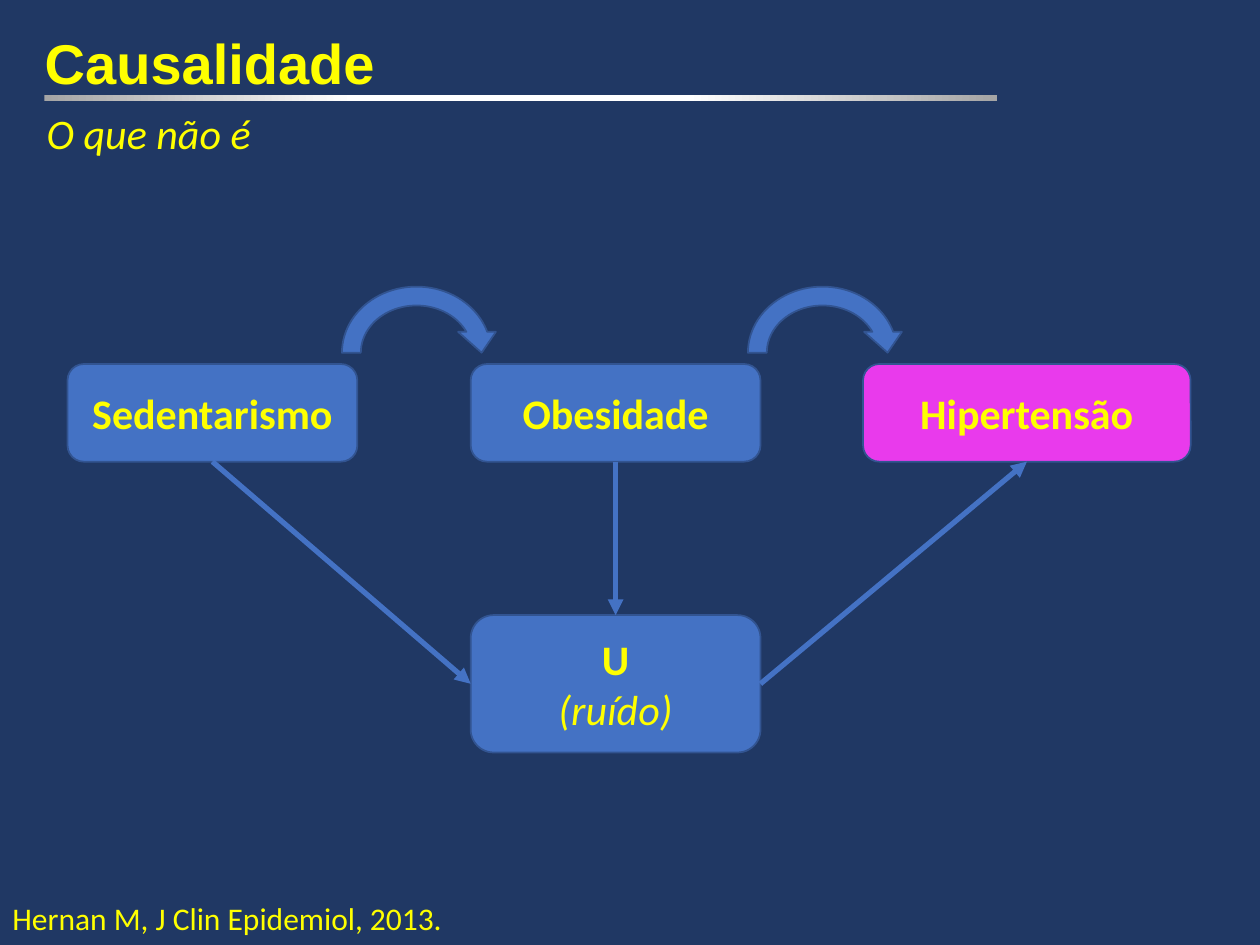
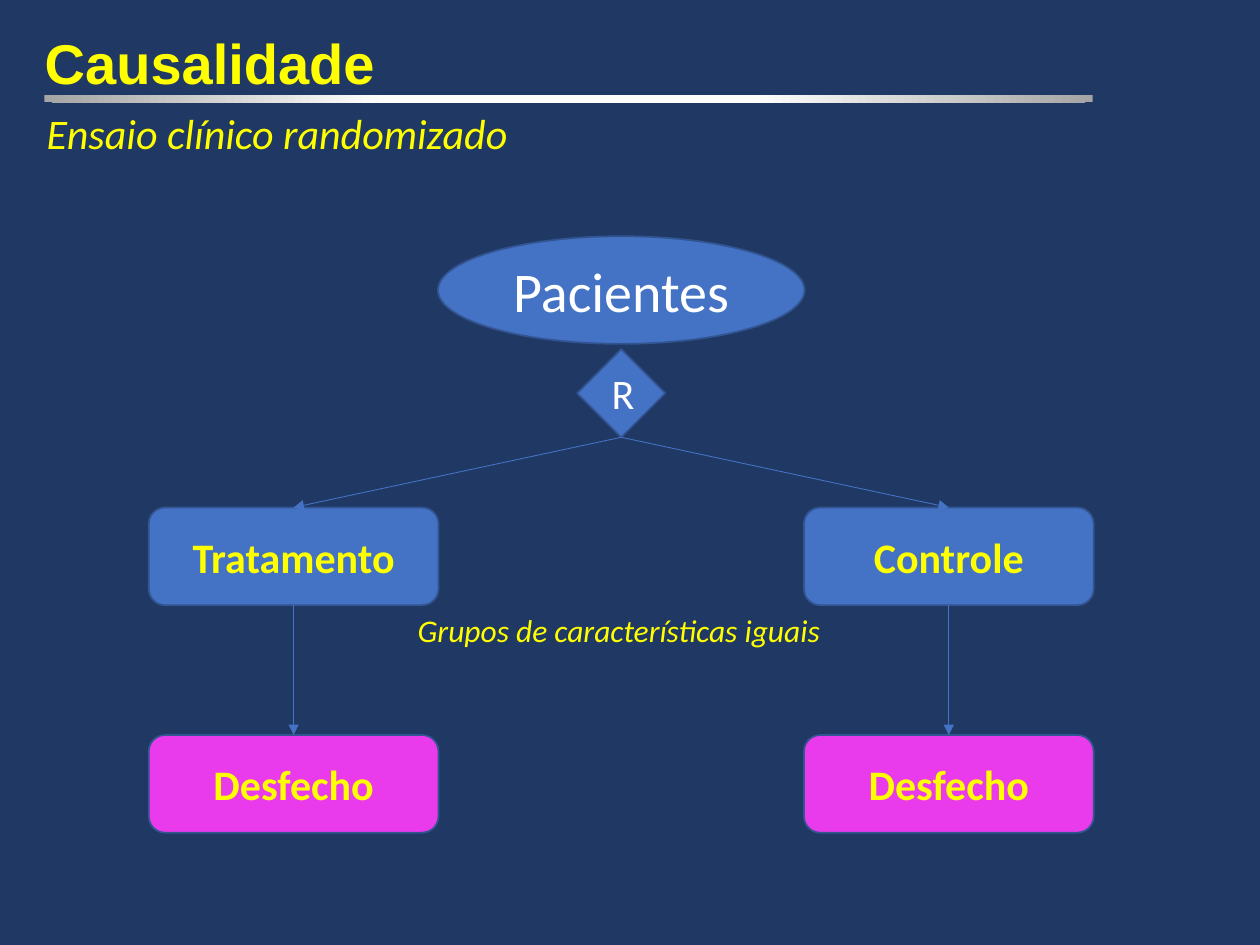
from dataclasses import dataclass

from lxml.etree import SubElement
from pptx import Presentation
from pptx.dml.color import RGBColor
from pptx.enum.shapes import MSO_CONNECTOR, MSO_SHAPE as SHAPE
from pptx.enum.text import MSO_ANCHOR, MSO_AUTO_SIZE, PP_ALIGN
from pptx.oxml.ns import qn
from pptx.util import Pt


@dataclass(frozen=True)
class Theme:
    background: str = "203864"
    text: str = "FFFF00"
    light: str = "FFFFFF"
    node: str = "4472C4"
    outcome: str = "E93AEC"
    outline: str = "325491"
    rule_end: str = "A5A5A5"
    title_font: str = "Arial"
    font: str = "Calibri"
    big: int = 32
    body: int = 24
    small: int = 18


T = Theme()
TOP, LEFT, BOTTOM, RIGHT = range(4)
BOX_W, BOX_H = 165.6, 55.8


def rgb(color):
    return RGBColor.from_string(color)


def write(p, text, size=T.body, color=T.text, font=T.font, bold=False, italic=False):
    r = p.add_run()
    r.text = text
    f = r.font
    f.size, f.name, f.bold, f.italic = Pt(size), font, bold, italic
    f.color.rgb = rgb(color)


class Deck:
    """Holds the presentation, its theme and the current slide."""

    def __init__(self, theme):
        self.theme = theme
        self.prs = Presentation()
        self.prs.slide_width, self.prs.slide_height = Pt(720), Pt(540)
        self.s = None

    def slide(self, subtitle, rule_w, rule_h):
        t = self.theme
        self.s = self.prs.slides.add_slide(self.prs.slide_layouts[6])
        fill = self.s.background.fill
        fill.solid()
        fill.fore_color.rgb = rgb(t.background)
        self.text("Causalidade", 18.5, 13, 700, 102, wrap=True,
                  size=t.big, font=t.title_font, bold=True)
        self.rule(25.4, 54.5, rule_w, rule_h)
        self.text(subtitle, 19.6, 57.8, 281, 36, italic=True)

    def text(self, text, x, y, w, h, wrap=False, **style):
        tf = self.s.shapes.add_textbox(Pt(x), Pt(y), Pt(w), Pt(h)).text_frame
        tf.word_wrap = wrap
        if not wrap:
            tf.auto_size = MSO_AUTO_SIZE.SHAPE_TO_FIT_TEXT
        write(tf.paragraphs[0], text, **style)

    def shape(self, kind, x, y, w, h):
        sp = self.s.shapes.add_shape(kind, Pt(x), Pt(y), Pt(w), Pt(h))
        sp.shadow.inherit = False
        return sp

    def rule(self, x, y, w, h):
        """Bar that shades from a white middle to grey ends."""
        sp = self.shape(SHAPE.RECTANGLE, x, y, w, h)
        sp.line.fill.background()
        grad = sp._element.spPr.makeelement(qn("a:gradFill"), {"rotWithShape": "1"})
        stops = SubElement(grad, qn("a:gsLst"))
        t = self.theme
        for pos, color in ((0, t.light), (35, t.light), (100, t.rule_end)):
            gs = SubElement(stops, qn("a:gs"), pos=str(pos * 1000))
            SubElement(gs, qn("a:srgbClr"), val=color)
        shade = SubElement(grad, qn("a:path"), {"path": "circle"})
        SubElement(shade, qn("a:fillToRect"), l="50000", t="-80000", r="50000", b="180000")
        sp._element.spPr.find(qn("a:prstGeom")).addnext(grad)

    def node(self, kind, x, y, w, h, *lines, fill=T.node):
        """Filled shape; each line is a pair of text and format."""
        sp = self.shape(kind, x, y, w, h)
        sp.fill.solid()
        sp.fill.fore_color.rgb = rgb(fill)
        sp.line.color.rgb = rgb(self.theme.outline)
        sp.line.width = Pt(1)
        tf = sp.text_frame
        tf.word_wrap = True
        tf.vertical_anchor = MSO_ANCHOR.MIDDLE
        for i, (text, style) in enumerate(lines):
            p = tf.add_paragraph() if i else tf.paragraphs[0]
            p.alignment = PP_ALIGN.CENTER
            write(p, text, **style)
        return sp

    def box(self, text, x, y, w=BOX_W, fill=T.node):
        return self.node(SHAPE.ROUNDED_RECTANGLE, x, y, w, BOX_H,
                         (text, {"bold": True}), fill=fill)

    def arrow(self, start, start_side, end, end_side, width):
        c = self.s.shapes.add_connector(MSO_CONNECTOR.STRAIGHT, 0, 0, 0, 0)
        c.begin_connect(start, start_side)
        c.end_connect(end, end_side)
        c.line.color.rgb = rgb(self.theme.node)
        c.line.width = Pt(width)
        SubElement(c.line._get_or_add_ln(), qn("a:tailEnd"), type="triangle")
        SubElement(c._element.spPr, qn("a:effectLst"))


def noise_slide(d):
    d.slide("O que não é", 544.3, 3)

    # Causal chain
    row, middle = 208, 269
    sedentary = d.box("Sedentarismo", 38.6, row)
    obesity = d.box("Obesidade", middle, row)
    hypertension = d.box("Hipertensão", 493.2, row, w=187.2, fill=T.outcome)
    for x in (190, 422):
        d.node(SHAPE.CIRCULAR_ARROW, x, 158.4, 96, 86.4)

    # Noise and its links
    noise = d.node(SHAPE.ROUNDED_RECTANGLE, middle, 351.5, BOX_W, 78.5,
                   ("U", {"bold": True}), ("(ruído)", {"italic": True}))
    d.arrow(sedentary, BOTTOM, noise, LEFT, 3)
    d.arrow(noise, RIGHT, hypertension, BOTTOM, 3)
    d.arrow(obesity, BOTTOM, noise, TOP, 3)

    # Source
    d.text("Hernan M, J Clin Epidemiol, 2013.", 0, 510, 263.5, 29, size=T.small)


def trial_slide(d):
    d.slide("Ensaio clínico randomizado", 599, 3.9)

    # Patients and randomisation
    center = 355
    d.node(SHAPE.OVAL, center - 104.75, 135, 209.5, 61.5,
           ("Pacientes", {"size": T.big, "color": T.light}))
    random = d.node(SHAPE.DIAMOND, center - 25.2, 199.5, 50.4, 50.4,
                    ("R", {"color": T.light}))

    # Two arms, each with its outcome
    for name, offset in (("Tratamento", -187.2), ("Controle", 187.2)):
        x = center + offset - BOX_W / 2
        arm = d.box(name, x, 290)
        outcome = d.box("Desfecho", x, 420, fill=T.outcome)
        d.arrow(random, BOTTOM, arm, TOP, 0.5)
        d.arrow(arm, BOTTOM, outcome, TOP, 0.5)
    d.text("Grupos de características iguais", 231.6, 345.8, 246, 29,
           size=T.small, italic=True)


def main():
    d = Deck(T)
    noise_slide(d)
    trial_slide(d)
    d.prs.save("out.pptx")


if __name__ == "__main__":
    main()
